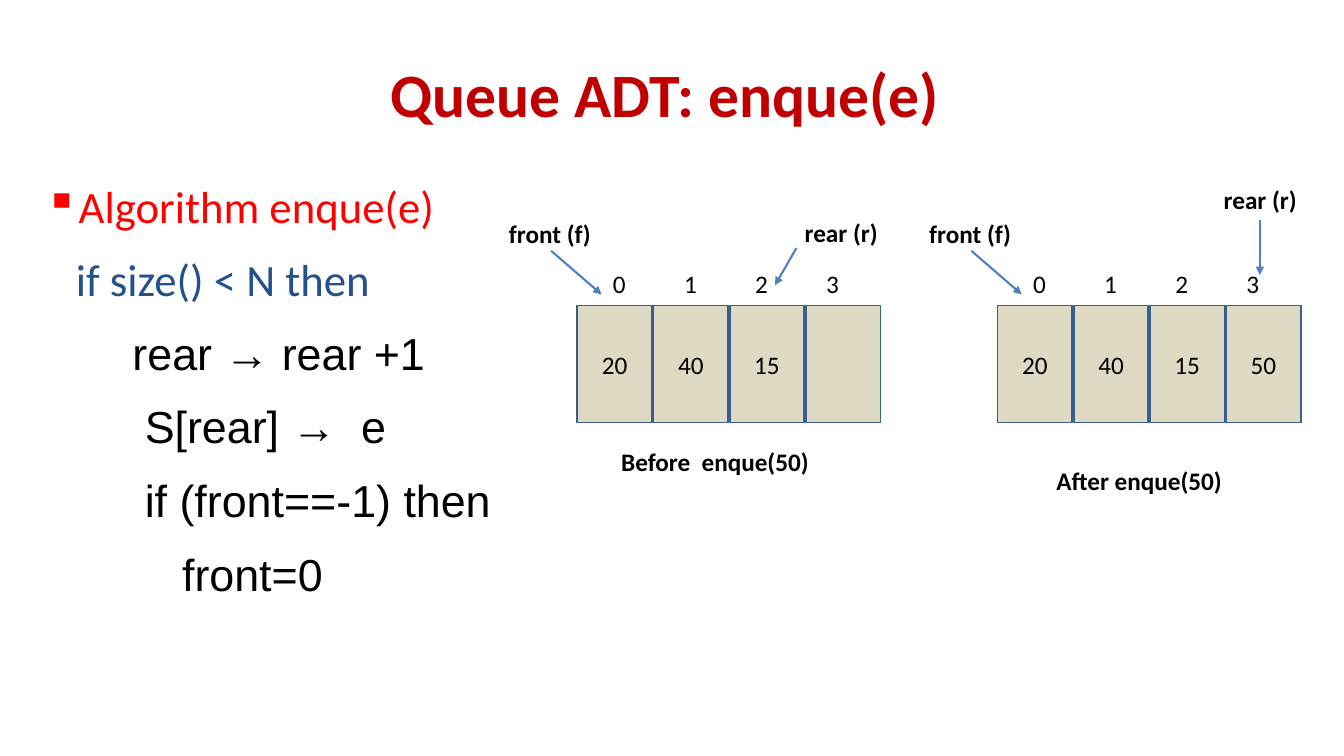
from dataclasses import dataclass

from lxml.etree import SubElement
from pptx import Presentation
from pptx.dml.color import RGBColor
from pptx.enum.shapes import MSO_CONNECTOR, MSO_SHAPE
from pptx.enum.text import MSO_ANCHOR, PP_ALIGN
from pptx.oxml.ns import qn
from pptx.util import Cm, Pt

# Content
TITLE = "Queue ADT: enque(e) "
# text, left indent (cm), font, colour name, bullet
ALGORITHM = [
    ("Algorithm enque(e)", 0.64, "Calibri", "heading", "▪"),
    ("if size() < N then", 0.77, "Calibri", "condition", None),
    ("rear → rear +1", 2.2, "Arial", "text", None),
    ("S[rear] →  e", 2.51, "Arial", "text", None),
    ("if (front==-1) then", 2.51, "Arial", "text", None),
    ("front=0", 3.45, "Arial", "text", None),
]
# Lengths in cm; an arrow runs from x, y to x, y
QUEUES = [
    {"left": 14.55, "values": ["20", "40", "15", ""],
     "caption": ("Before  enque(50)", 14.91, 11.13),
     "rear": (19.56, 5.36), "rear_arrow": (20.07, 6.25, 19.53, 7.19)},
    {"left": 25.14, "values": ["20", "40", "15", "50"],
     "caption": ("After enque(50)", 25.6, 11.61),
     "rear": (30.12, 4.52), "rear_arrow": (31.75, 5.54, 31.75, 6.93)},
]

# Layout in cm
CELL_WIDTH, CELL_HEIGHT, CELL_PITCH, CELL_TOP = 1.88, 2.95, 1.92, 7.7
INDEX_SIZE, INDEX_PITCH, INDEX_START, INDEX_TOP = 1.84, 1.79, 0.14, 6.23
LABEL_WIDTH, CAPTION_WIDTH, LABEL_HEIGHT = 3.28, 6.22, 1.02


@dataclass(frozen=True)
class Theme:
    title: str = "C00000"
    heading: str = "FF0000"
    condition: str = "23518B"
    text: str = "000000"
    cell: str = "DDD9C3"
    border: str = "3A5F8C"
    arrow: str = "4F81BD"
    title_size: int = 44
    body_size: int = 32
    label_size: int = 18


THEME = Theme()


def set_font(paragraph, size, color, name="Calibri", bold=False):
    font = paragraph.font
    font.name, font.size, font.bold = name, Pt(size), bold
    font.color.rgb = RGBColor.from_string(color)


def write_label(shape, text, bold=False, anchor=MSO_ANCHOR.MIDDLE):
    frame = shape.text_frame
    frame.word_wrap = True
    frame.vertical_anchor = anchor
    paragraph = frame.paragraphs[0]
    paragraph.text = text
    paragraph.alignment = PP_ALIGN.CENTER
    set_font(paragraph, THEME.label_size, THEME.text, bold=bold)


def add_label(page, text, left, top, width, height=LABEL_HEIGHT,
              bold=True, anchor=MSO_ANCHOR.TOP):
    box = page.shapes.add_textbox(Cm(left), Cm(top), Cm(width), Cm(height))
    write_label(box, text, bold, anchor)


def add_cell(page, value, left):
    cell = page.shapes.add_shape(MSO_SHAPE.RECTANGLE, Cm(left), Cm(CELL_TOP),
                                 Cm(CELL_WIDTH), Cm(CELL_HEIGHT))
    cell.shadow.inherit = False
    cell.fill.solid()
    cell.fill.fore_color.rgb = RGBColor.from_string(THEME.cell)
    cell.line.color.rgb = RGBColor.from_string(THEME.border)
    cell.line.width = Pt(1.25)
    if value:
        write_label(cell, value)


def add_arrow(page, *ends):
    arrow = page.shapes.add_connector(MSO_CONNECTOR.STRAIGHT, *map(Cm, ends))
    arrow.line.color.rgb = RGBColor.from_string(THEME.arrow)
    arrow.line.width = Pt(1.5)
    SubElement(arrow.line._get_or_add_ln(), qn("a:tailEnd"), type="triangle")
    SubElement(arrow._element.spPr, qn("a:effectLst"))


def add_title(page):
    title = page.shapes.title
    title.left, title.top, title.width, title.height = map(Cm, (1.69, 0.76, 30.48, 3.18))
    title.text_frame.vertical_anchor = MSO_ANCHOR.MIDDLE
    paragraph = title.text_frame.paragraphs[0]
    paragraph.text = TITLE
    paragraph.alignment = PP_ALIGN.CENTER
    set_font(paragraph, THEME.title_size, THEME.title, bold=True)


def add_algorithm(page):
    box = page.shapes.add_textbox(Cm(1.14), Cm(4.52), Cm(12.01), Cm(11.13))
    frame = box.text_frame
    frame.word_wrap = True
    frame.margin_left = frame.margin_right = 0
    for number, (text, indent, font, color, bullet) in enumerate(ALGORITHM):
        paragraph = frame.add_paragraph() if number else frame.paragraphs[0]
        paragraph.text = text
        paragraph.line_spacing = 0.9
        paragraph.space_before = Pt(18)
        set_font(paragraph, THEME.body_size, getattr(THEME, color), font)
        properties = paragraph._p.get_or_add_pPr()
        properties.set("marL", str(Cm(indent)))
        if bullet:
            properties.set("indent", str(-Cm(indent)))
            mark = properties.makeelement(qn("a:buChar"), {"char": bullet})
            properties.find(qn("a:defRPr")).addprevious(mark)


def add_queue(page, queue):
    left = queue["left"]
    # Cells and their indices
    for index, value in enumerate(queue["values"]):
        add_cell(page, value, left + index * CELL_PITCH)
        add_label(page, str(index), left + INDEX_START + index * INDEX_PITCH,
                  INDEX_TOP, INDEX_SIZE, INDEX_SIZE, False, MSO_ANCHOR.MIDDLE)
    # Pointers
    add_label(page, "front (f)", left - 2.33, 5.38, LABEL_WIDTH)
    add_arrow(page, left - 0.66, 6.32, left + 0.61, 7.42)
    add_label(page, "rear (r)", *queue["rear"], LABEL_WIDTH)
    add_arrow(page, *queue["rear_arrow"])
    # Caption
    add_label(page, *queue["caption"], CAPTION_WIDTH)


def main():
    deck = Presentation()
    deck.slide_width, deck.slide_height = Cm(33.87), Cm(19.05)
    page = deck.slides.add_slide(deck.slide_layouts[5])
    add_title(page)
    add_algorithm(page)
    for queue in QUEUES:
        add_queue(page, queue)
    deck.save("out.pptx")


if __name__ == "__main__":
    main()
